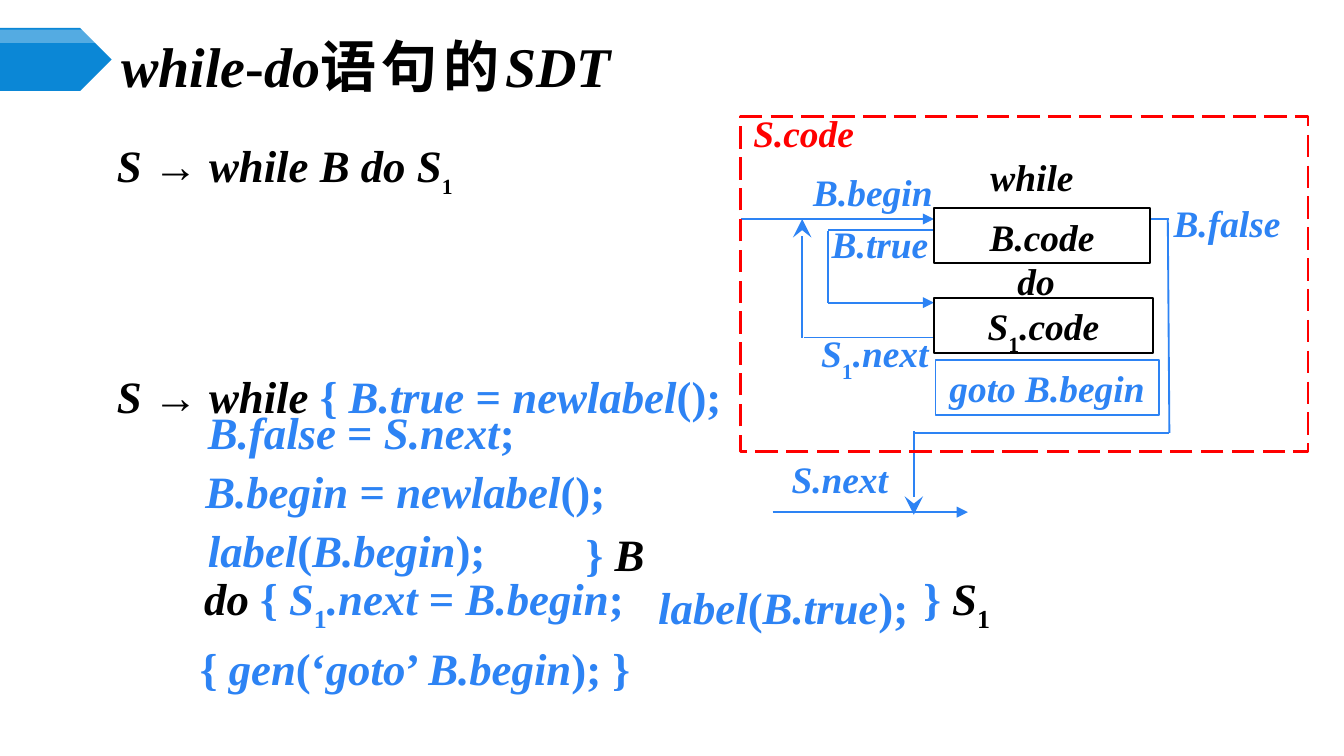
from dataclasses import dataclass
from typing import Optional

from lxml import etree
from pptx import Presentation, util as u
from pptx.dml.color import RGBColor
from pptx.enum import dml, shapes, text
from pptx.oxml import ns

COLORS = {"black": "000000", "blue": "2D83F4", "red": "FF0000", "white": "FFFFFF", "banner": "0B87D6"}
FONT = "Times New Roman"
CHINESE_FONT = "Noto Sans CJK SC"


@dataclass(frozen=True)
class Piece:
    content: str
    color: Optional[str] = None
    italic: bool = True
    subscript: bool = False
    size: Optional[int] = None
    font: str = FONT
    spacing: int = 0


@dataclass(frozen=True)
class Label:
    pieces: list[Piece]
    left: float
    top: float
    width: float
    color: str = "blue"


@dataclass(frozen=True)
class Block(Label):
    line: str = "black"
    fill: Optional[str] = "white"


@dataclass(frozen=True)
class CodeLine(Label):
    exact: bool = True


@dataclass(frozen=True)
class Segment:
    start: tuple[float, float]
    end: tuple[float, float]
    head: Optional[str] = None


def upright(content: str, color: Optional[str] = None) -> Piece:
    return Piece(content, color, italic=False)


def one(size: Optional[int] = None) -> Piece:
    return Piece("1", italic=False, subscript=True, size=size)


def rgb(name: str) -> RGBColor:
    return RGBColor.from_string(COLORS[name])


def write(paragraph, pieces: list[Piece], size: int, color: str) -> None:
    for piece in pieces:
        run = paragraph.add_run()
        run.text = piece.content
        font = run.font
        font.name, font.size = piece.font, u.Pt(piece.size or size)
        font.bold, font.italic = True, piece.italic
        font.color.rgb = rgb(piece.color or color)
        properties = run._r.get_or_add_rPr()
        etree.SubElement(properties, ns.qn("a:ea")).set("typeface", piece.font)
        if piece.subscript:
            properties.set("baseline", "-30000")
        if piece.spacing:
            properties.set("spc", str(piece.spacing * 100))


def set_frame(frame, side: float, vertical: float, wrap: bool = True) -> None:
    frame.word_wrap = wrap
    frame.auto_size = text.MSO_AUTO_SIZE.NONE
    frame.vertical_anchor = text.MSO_ANCHOR.TOP
    frame.margin_left = frame.margin_right = u.Cm(side)
    frame.margin_top = frame.margin_bottom = u.Cm(vertical)


def place(shape, left: float, top: float, width: float, height: float) -> None:
    shape.left, shape.top, shape.width, shape.height = map(u.Cm, (left, top, width, height))


def add_box(slide, kind, left: float, top: float, width: float, height: float,
            fill: Optional[str], line: Optional[str] = None):
    shape = slide.shapes.add_shape(kind, *map(u.Cm, (left, top, width, height)))
    shape.shadow.inherit = False
    if fill:
        shape.fill.solid()
        shape.fill.fore_color.rgb = rgb(fill)
    else:
        shape.fill.background()
    if line:
        shape.line.color.rgb = rgb(line)
        shape.line.width = u.Pt(1)
    else:
        shape.line.fill.background()
    return shape


def add_banner(slide) -> None:
    kind = shapes.MSO_SHAPE.PENTAGON
    add_box(slide, kind, 0, 0.53, 2.11, 1.19, "banner")
    gloss = add_box(slide, kind, 0, 0.56, 2.11, 0.25, "white")
    color = gloss.fill._xPr.find(".//" + ns.qn("a:srgbClr"))
    etree.SubElement(color, ns.qn("a:alpha")).set("val", "30000")


def add_segment(slide, segment: Segment) -> None:
    connector = slide.shapes.add_connector(
        shapes.MSO_CONNECTOR.STRAIGHT, *map(u.Cm, segment.start + segment.end))
    connector.line.color.rgb = rgb("blue")
    connector.line.width = u.Pt(1)
    if segment.head:
        size = "lg" if segment.head == "stealth" else "med"
        tail = etree.SubElement(connector.line._get_or_add_ln(), ns.qn("a:tailEnd"))
        for key, value in (("type", segment.head), ("w", size), ("len", size)):
            tail.set(key, value)
    etree.SubElement(connector._element.spPr, ns.qn("a:effectLst"))


def add_label(slide, label: Label) -> None:
    box = slide.shapes.add_textbox(*map(u.Cm, (label.left, label.top, label.width, 1.04)))
    set_frame(box.text_frame, 0.18, 0.1)
    write(box.text_frame.paragraphs[0], label.pieces, 20, label.color)


def add_block(slide, block: Block) -> None:
    shape = add_box(slide, shapes.MSO_SHAPE.RECTANGLE, block.left, block.top, block.width, 1.04,
                    block.fill, block.line)
    set_frame(shape.text_frame, 0.18, 0.1)
    paragraph = shape.text_frame.paragraphs[0]
    paragraph.alignment = text.PP_ALIGN.CENTER
    write(paragraph, block.pieces, 20, block.color)


def add_code_line(slide, line: CodeLine) -> None:
    box = slide.shapes.add_textbox(*map(u.Cm, (line.left, line.top, line.width, 1.27)))
    set_frame(box.text_frame, 0.25, 0.13)
    paragraph = box.text_frame.paragraphs[0]
    if line.exact:
        paragraph.line_spacing = u.Pt(30)
    write(paragraph, line.pieces, 24, line.color)


def fill_title(title) -> None:
    place(title, 2.11, 0.74, 22.02, 0.99)
    set_frame(title.text_frame, 0.18, 0.1)
    title.text_frame.vertical_anchor = text.MSO_ANCHOR.MIDDLE
    paragraph = title.text_frame.paragraphs[0]
    paragraph.alignment = text.PP_ALIGN.LEFT
    chinese = Piece("语句的", italic=False, font=CHINESE_FONT, spacing=3)
    write(paragraph, [Piece("while"), upright("-"), Piece("do"), chinese, Piece("SDT")], 30, "black")


def fill_body(body) -> None:
    place(body, 2.03, 2.51, 23.1, 6.2)
    set_frame(body.text_frame, 0.18, 0.1)
    arrow = [Piece("S "), upright("→ ")]
    rule = arrow + [Piece("while B do S"), one(20)]
    scheme = arrow + [Piece("while "), upright("{ ", "blue"), Piece("B.true", "blue"), upright(" = ", "blue"),
                      Piece("newlabel", "blue"), upright("();", "blue")]
    first, second = body.text_frame.paragraphs[0], body.text_frame.add_paragraph()
    second.line_spacing = u.Pt(30)
    for paragraph, pieces, gap in ((first, rule, 0), (second, scheme, 90)):
        paragraph.space_before = u.Pt(gap)
        properties = paragraph._p.get_or_add_pPr()
        properties.set("marL", "0")
        properties.set("indent", "0")
        etree.SubElement(properties, ns.qn("a:buNone"))
        write(paragraph, pieces, 24, "black")


def add_code_frame(slide) -> None:
    frame = add_box(slide, shapes.MSO_SHAPE.RECTANGLE, 14, 2.21, 10.72, 6.32, None, "red")
    frame.line.width = u.Pt(1.5)
    frame.line.dash_style = dml.MSO_LINE.LONG_DASH
    caption = slide.shapes.add_textbox(*map(u.Cm, (13.87, 1.96, 2.64, 1.12)))
    set_frame(caption.text_frame, 0.25, 0.13, wrap=False)
    paragraph = caption.text_frame.paragraphs[0]
    paragraph.alignment = text.PP_ALIGN.CENTER
    write(paragraph, [Piece("S.code")], 20, "red")


SEGMENTS = [
    Segment((15.65, 5.72), (15.65, 4.37)), Segment((15.65, 4.34), (17.96, 4.34)),
    Segment((15.65, 5.72), (17.65, 5.72), "triangle"),
    Segment((17.81, 6.38), (15.19, 6.38)), Segment((15.16, 6.38), (15.16, 4.14), "stealth"),
    Segment((14, 4.14), (17.65, 4.14), "triangle"),
    Segment((22.1, 4.14), (21.13, 4.14)), Segment((22.07, 4.14), (22.1, 8.18)),
    Segment((17.3, 8.18), (22.1, 8.18)), Segment((17.27, 8.15), (17.27, 9.73), "stealth"),
    Segment((14.6, 9.68), (18.29, 9.68), "triangle"),
]
LABELS = [
    Label([Piece("B.true")], 15.54, 4.09, 2.95), Label([Piece("B.begin")], 15.19, 3.1, 3.1),
    Label([Piece("S"), one(), Piece(".next")], 15.34, 6.15, 3),
    Label([Piece("B.false")], 22, 3.68, 2.92), Label([Piece("S.next")], 14.78, 8.53, 3),
    Label([Piece("while")], 18.54, 2.82, 2.72, "black"), Label([Piece("do")], 19.05, 4.78, 2.06, "black"),
]
BLOCKS = [
    Block([Piece("B.code")], 17.65, 3.94, 4.09, "black"),
    Block([Piece("S"), one(), Piece(".code")], 17.65, 5.64, 4.14, "black"),
    Block([Piece("goto B.begin")], 17.68, 6.81, 4.22, line="blue", fill=None),
]
CODE_LINES = [
    CodeLine([Piece("B.false"), upright(" = "), Piece("S.next"), upright(";")], 3.68, 7.47, 7.24),
    CodeLine([Piece("B.begin"), upright(" = "), Piece("newlabel"), upright("();")], 3.63, 8.59, 8.48),
    CodeLine([Piece("label"), upright("("), Piece("B.begin"), upright(");")], 3.68, 9.7, 6.81),
    CodeLine([upright("} "), Piece("B", "black")], 10.82, 9.78, 2),
    CodeLine([Piece("do ", "black"), upright("{ "), Piece("S"), one(), Piece(".next"), upright(" = "),
              Piece("B.begin"), upright(";")], 3.61, 10.8, 9),
    CodeLine([Piece("label"), upright("("), Piece("B.true"), upright(");")], 12.19, 10.82, 6.05, exact=False),
    CodeLine([upright("} "), Piece("S", "black"), Piece("1", "black", False, True)], 17.2, 10.8, 3),
    CodeLine([upright("{ "), Piece("gen"), upright("(‘"), Piece("goto"), upright("’ "), Piece("B.begin"),
              upright("); }")], 3.53, 11.94, 13),
]


def main() -> None:
    presentation = Presentation()
    presentation.slide_width, presentation.slide_height = u.Cm(25.4), u.Cm(14.29)
    slide = presentation.slides.add_slide(presentation.slide_layouts[1])
    add_banner(slide)
    fill_title(slide.shapes.title)
    fill_body(slide.placeholders[1])
    for items, draw in ((SEGMENTS, add_segment), (LABELS, add_label),
                        (BLOCKS, add_block), (CODE_LINES, add_code_line)):
        for item in items:
            draw(slide, item)
    add_code_frame(slide)
    presentation.save("out.pptx")


if __name__ == "__main__":
    main()
